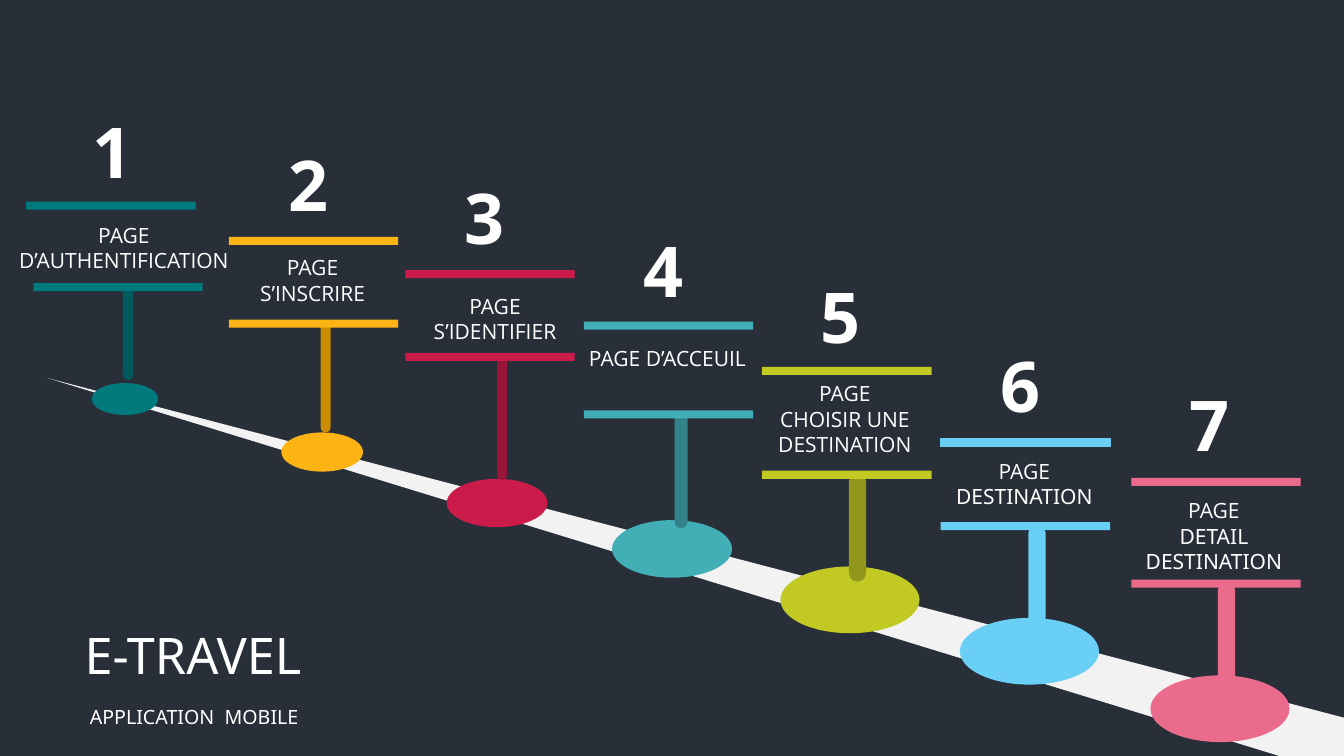
from dataclasses import dataclass

from pptx import Presentation
from pptx.dml.color import RGBColor
from pptx.enum.shapes import MSO_SHAPE
from pptx.enum.text import MSO_ANCHOR, MSO_AUTO_SIZE, PP_ALIGN
from pptx.util import Inches, Pt

RECT, OVAL, ROUND = MSO_SHAPE.RECTANGLE, MSO_SHAPE.OVAL, MSO_SHAPE.ROUNDED_RECTANGLE
LEFT, CENTER = PP_ALIGN.LEFT, PP_ALIGN.CENTER
TOP, GROW = MSO_ANCHOR.TOP, MSO_AUTO_SIZE.SHAPE_TO_FIT_TEXT

COLORS = {
    "background": "282F39", "road": "F2F2F2", "text": "FFFFFF",
    "teal": "007A7D", "teal dark": "005B5E",
    "amber": "FCB414", "amber dark": "C98C03",
    "red": "CB1B4A", "red dark": "981438",
    "cyan": "42AFB6", "cyan dark": "318389",
    "lime": "C2C923", "lime dark": "91971A",
    "sky": "69CFF5", "pink": "EB6B8D",
}
BODY, HEAD = "Open Sans", "Noto Sans"
BAR_W, BAR_H, DISC_RATIO = 1.68, 0.08, 0.48
ROAD = [(13.33, 7.5), (12.69, 7.5), (0.47, 3.75), (13.33, 7.12)]


@dataclass
class Stop:
    """One signpost; x, y is its upper bar, all pairs are offsets from there."""
    x: float
    y: float
    color: str
    pole_color: str
    lines: list
    label: tuple    # dx, dy, width, height
    lower: float    # dy of the lower bar
    pole: tuple     # dx, width, height
    disc: tuple     # dx, dy, width
    number: tuple = (-0.09, -1)
    lower_dx: float = 0
    last_font: str = BODY
    outline: bool = False


STOPS = [
    Stop(0.26, 2, "teal", "teal dark", ["PAGE D’AUTHENTIFICATION"],
         (-0.26, 0.16, 2.46, 0.61), 0.81, (0.96, 0.1, 0.94), (0.65, 1.8, 0.66),
         number=(-0.02, -0.97), lower_dx=0.07),
    Stop(2.27, 2.35, "amber", "amber dark", ["PAGE", "S’INSCRIRE"],
         (-0.09, 0.13, 1.84, 0.61), 0.82, (0.91, 0.1, 1.1), (0.52, 1.94, 0.81)),
    Stop(4.02, 2.68, "red", "red dark", ["PAGE", "S’IDENTIFIER"],
         (-0.03, 0.18, 1.84, 0.61), 0.82, (0.91, 0.1, 1.24), (0.41, 2.07, 1)),
    Stop(5.79, 3.19, "cyan", "cyan dark", ["PAGE D’ACCEUIL"],
         (-0.09, 0.19, 1.84, 0.61), 0.88, (0.9, 0.13, 1.15), (0.28, 1.97, 1.19),
         number=(-0.09, -0.98)),
    Stop(7.56, 3.64, "lime", "lime dark", ["PAGE", "CHOISIR UNE DESTINATION"],
         (-0.1, 0.09, 1.84, 0.86), 1.03, (0.86, 0.17, 1.08), (0.18, 1.98, 1.38),
         number=(-0.1, -0.98)),
    Stop(9.33, 4.35, "sky", "sky", ["PAGE", "DESTINATION"],
         (-0.09, 0.15, 1.84, 0.61), 0.83, (0.87, 0.17, 1.08), (0.19, 1.78, 1.38),
         last_font=HEAD, outline=True),
    Stop(11.22, 4.74, "pink", "pink", ["PAGE", "DETAIL DESTINATION"],
         (-0.1, 0.15, 1.84, 0.86), 1.01, (0.86, 0.17, 1.08), (0.19, 1.96, 1.38),
         number=(-0.1, -1), last_font=HEAD),
]


def rgb(name):
    return RGBColor.from_string(COLORS[name])


def paint(sp, color):
    sp.shadow.inherit = False
    sp.fill.solid()
    sp.fill.fore_color.rgb = rgb(color)
    sp.line.fill.background()


def add_block(s, kind, x, y, w, h, color):
    sp = s.shapes.add_shape(kind, Inches(x), Inches(y), Inches(w), Inches(h))
    paint(sp, color)
    return sp


def write(sp, lines, size, align, fonts, bold=False):
    tf = sp.text_frame
    for name, value in {"word_wrap": True, "auto_size": GROW,
                        "vertical_anchor": TOP}.items():
        setattr(tf, name, value)
    for i, (line, font) in enumerate(zip(lines, fonts)):
        p = tf.paragraphs[0] if i == 0 else tf.add_paragraph()
        p.alignment = align
        p.line_spacing = 1.0
        p.space_before = Pt(0)
        r = p.add_run()
        r.text = line
        for name, value in {"size": Pt(size), "name": font, "bold": bold}.items():
            setattr(r.font, name, value)
        r.font.color.rgb = rgb("text")


def add_text(s, x, y, w, h, *args, **kwargs):
    sp = s.shapes.add_textbox(Inches(x), Inches(y), Inches(w), Inches(h))
    write(sp, *args, **kwargs)
    return sp


def add_road(s):
    points = [(Inches(x), Inches(y)) for x, y in ROAD]
    builder = s.shapes.build_freeform(*points[0], scale=1.0)
    builder.add_line_segments(points[1:], close=True)
    paint(builder.convert_to_shape(), "road")


def add_stop(s, number, stop):
    x, y = stop.x, stop.y
    # Disc on the road and the pole standing on it
    dx, dy, w = stop.disc
    add_block(s, OVAL, x + dx, y + dy, w, w * DISC_RATIO, stop.color)
    dx, w, h = stop.pole
    pole = add_block(s, ROUND, x + dx, y + stop.lower + 0.02, w, h, stop.pole_color)
    pole.adjustments[0] = 0.5
    # Bars above and below the label
    upper = add_block(s, RECT, x, y, BAR_W, BAR_H, stop.color)
    if stop.outline:
        upper.line.color.rgb = rgb(stop.color)
        upper.line.width = Pt(1)
    add_block(s, RECT, x + stop.lower_dx, y + stop.lower, BAR_W, BAR_H, stop.color)
    # Label and number
    dx, dy, w, h = stop.label
    add_text(s, x + dx, y + dy, w, h, stop.lines, 15, CENTER, [BODY, stop.last_font])
    dx, dy = stop.number
    add_text(s, x + dx, y + dy, 1.76, 0.94, [str(number)], 50, CENTER, [BODY], bold=True)


def add_heading(s, x, y):
    title = s.shapes.title
    for name, value in {"left": x, "top": y, "width": 7.08, "height": 0.71}.items():
        setattr(title, name, Inches(value))
    write(title, ["E-TRAVEL"], 36, LEFT, [HEAD])
    sub = add_text(s, x, y + 0.8, 10.62, 0.34, ["APPLICATION  MOBILE"], 14, LEFT, [HEAD])
    sub.text_frame.margin_left = Inches(0.15)


def main():
    prs = Presentation()
    prs.slide_width, prs.slide_height = Inches(13.33), Inches(7.5)
    s = prs.slides.add_slide(prs.slide_layouts[5])
    s.background.fill.solid()
    s.background.fill.fore_color.rgb = rgb("background")
    add_road(s)
    for number, stop in enumerate(STOPS, 1):
        add_stop(s, number, stop)
    add_heading(s, 0.74, 6.14)
    prs.save("out.pptx")


if __name__ == "__main__":
    main()
